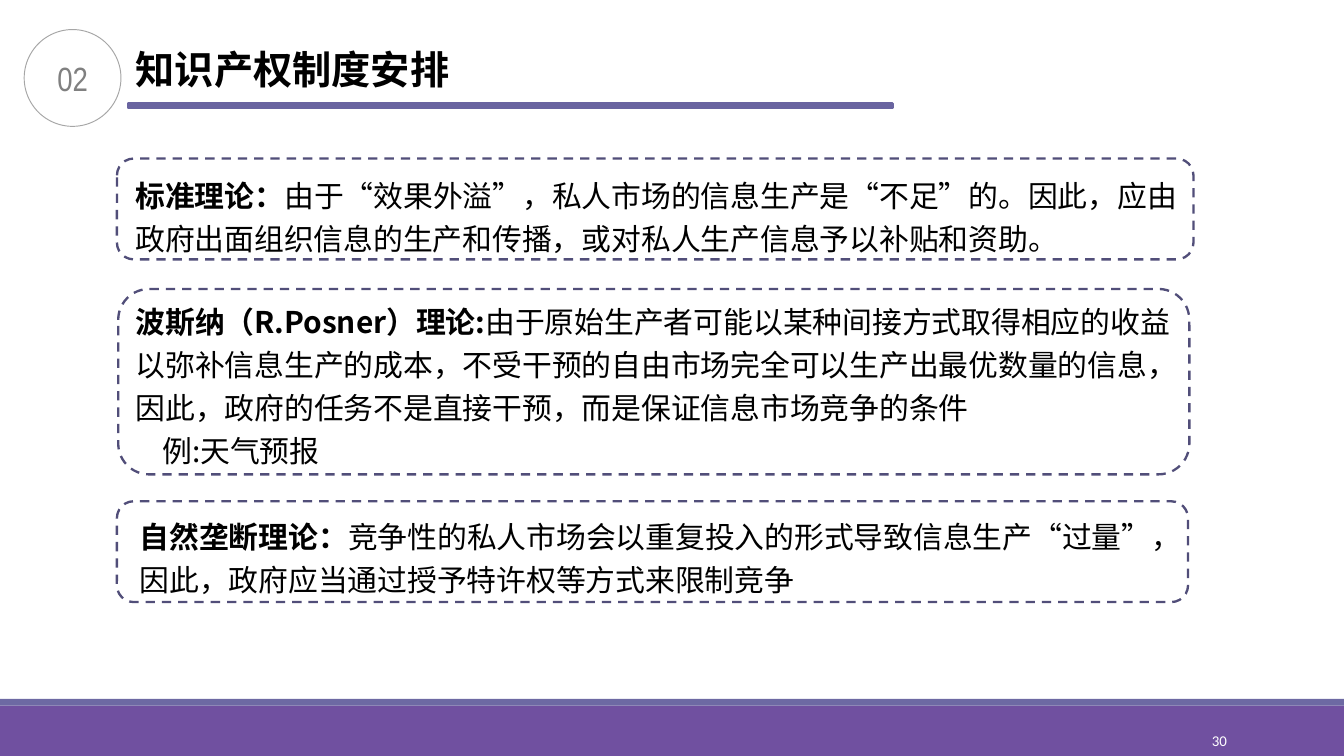
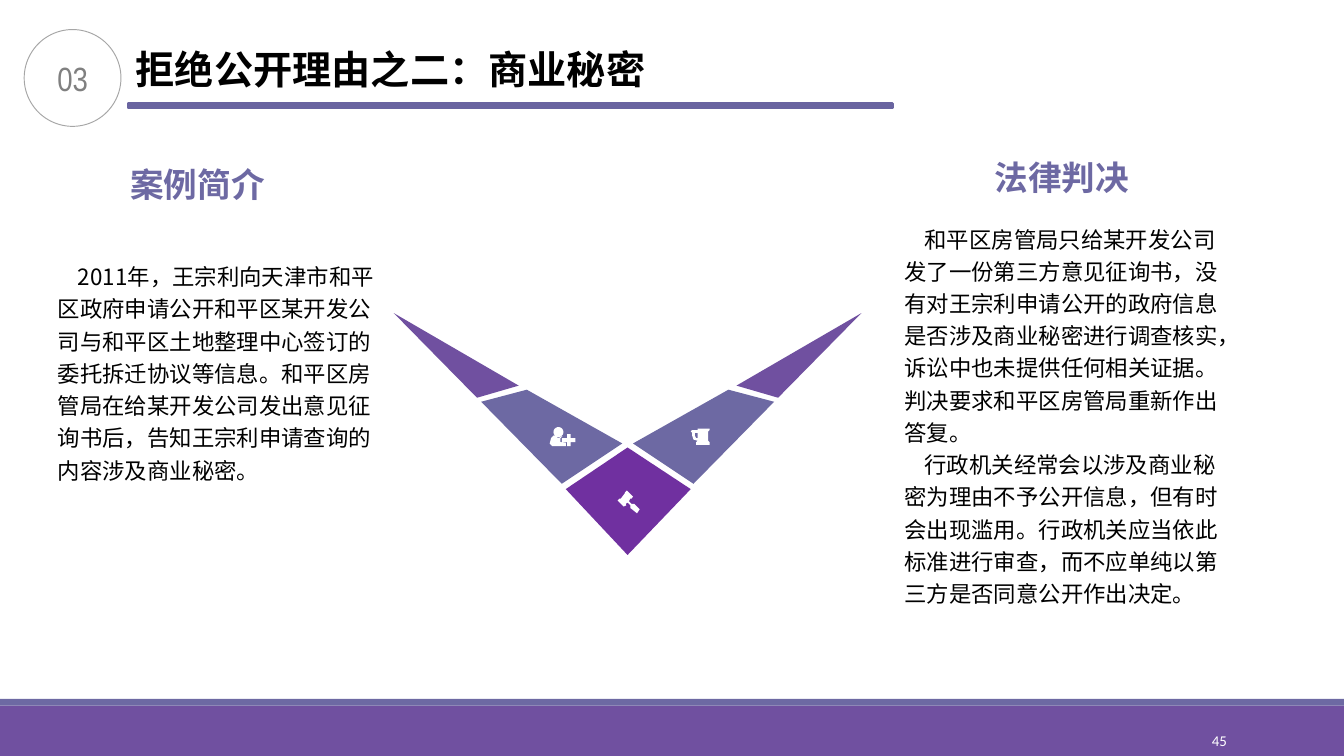
import math

from lxml import etree
from pptx import Presentation, util as u
from pptx.dml.color import RGBColor
from pptx.enum import dml, shapes, text
from pptx.oxml import ns

COLORS = {
    "band": "7050A0", "stripe": "6D69A3", "rule": "6964A0", "core": "7030A0",
    "dash": "514E79", "ring": "A6A6A6", "number": "808080",
    "ink": "000000", "white": "FFFFFF",
}
CJK = "Noto Sans CJK SC"
SHAPE = shapes.MSO_SHAPE
ALIGN = text.PP_ALIGN
SMALL_INSET = (0.7, 0.4)
TEXT_INSET = (1, 0.5)

deck = Presentation()
deck.slide_width, deck.slide_height = u.Inches(10), u.Inches(5.625)
CELL = deck.slide_width / 100  # the grid: 100 columns, 56.25 rows


def draw(page, kind, area, fill=None, line=None, width=1.25):
    """Add a preset shape, or a text box when kind is None; area is in cells."""
    place = [round(side * CELL) for side in area]
    if kind is None:
        return page.shapes.add_textbox(*place)
    shape = page.shapes.add_shape(kind, *place)
    shape.shadow.inherit = False
    if fill:
        shape.fill.solid()
        shape.fill.fore_color.rgb = RGBColor.from_string(COLORS[fill])
    else:
        shape.fill.background()
    if line:
        shape.line.color.rgb = RGBColor.from_string(COLORS[line])
        shape.line.width = u.Pt(width)
    else:
        shape.line.fill.background()
    return shape


def write(box, paras, size, color="ink", font=CJK, align=ALIGN.LEFT, inset=(0, 0),
          middle=False, wrap=True, grow=False, spacing=None):
    """Fill a box; each para is (indent in cells, [(words, bold), ...])."""
    frame = box.text_frame
    frame.word_wrap = wrap
    frame.auto_size = text.MSO_AUTO_SIZE.SHAPE_TO_FIT_TEXT if grow else text.MSO_AUTO_SIZE.NONE
    frame.vertical_anchor = text.MSO_ANCHOR.MIDDLE if middle else text.MSO_ANCHOR.TOP
    frame.margin_left = frame.margin_right = round(inset[0] * CELL)
    frame.margin_top = frame.margin_bottom = round(inset[1] * CELL)
    for index, (indent, spans) in enumerate(paras):
        para = frame.add_paragraph() if index else frame.paragraphs[0]
        para.alignment = align
        if spacing:
            para.line_spacing = spacing
        if indent:
            para._p.get_or_add_pPr().set("indent", str(round(indent * CELL)))
        for words, bold in spans:
            span = para.add_run()
            span.text = words
            span.font.size = u.Pt(size)
            span.font.bold = bold
            span.font.name = font
            span.font.color.rgb = RGBColor.from_string(COLORS[color])
            etree.SubElement(span._r.get_or_add_rPr(), ns.qn("a:ea")).set("typeface", CJK)


# Frame of both slides: bands, page number, rule, section circle, title
pages = []
for section, title, title_width, number in [
    ("02", "知识产权制度安排", 25.2, "30"),
    ("03", "拒绝公开理由之二：商业秘密", 40, "45"),
]:
    page = deck.slides.add_slide(deck.slide_layouts[6])
    pages.append(page)
    draw(page, SHAPE.RECTANGLE, (0, 52.5, 100, 3.75), "band")
    draw(page, SHAPE.RECTANGLE, (0, 52, 100, 0.5), "stripe")
    write(draw(page, None, (81.2, 53.6, 10.8, 3)), [(0, [(number, False)])], 8,
          "white", "Calibri", ALIGN.RIGHT, SMALL_INSET, middle=True)
    draw(page, SHAPE.RECTANGLE, (9.5, 7.7, 56.9, 0.35), "rule", "rule")
    circle = draw(page, SHAPE.OVAL, (1.8, 2.2, 7.2, 7.2), line="ring", width=0.5)
    write(circle, [(0, [(section, False)])], 18, "number", "Arial Narrow",
          ALIGN.CENTER, SMALL_INSET, middle=True)
    write(draw(page, None, (9.4, 3, title_width, 4.3)), [(0, [(title, True)])], 21,
          inset=SMALL_INSET, wrap=False, grow=True)

theory_page, case_page = pages

# Three theories in dashed frames
theories = [
    ((8.7, 11.8, 80.1, 7.5), (9.1, 12.2, 80, 10.3), [
        (0, [("标准理论：", True),
             ("由于“效果外溢”，私人市场的信息生产是“不足”的。因此，应由政府出面组织信息的"
              "生产和传播，或对私人生产信息予以补贴和资助。", False)])]),
    ((8.8, 21.5, 79.7, 13.8), (9.1, 21.6, 79.5, 16.8), [
        (0, [("波斯纳（R.Posner）理论:", True),
             ("由于原始生产者可能以某种间接方式取得相应的收益以弥补信息生产的成本，不受干预的"
              "自由市场完全可以生产出最优数量的信息，因此，政府的任务不是直接干预，而是保证信息"
              "市场竞争的条件", False)]),
        (2, [("例:天气预报", False)])]),
    ((8.7, 37.3, 79.7, 7.5), (9.4, 37.6, 79.6, 7), [
        (0, [("自然垄断理论：", True),
             ("竞争性的私人市场会以重复投入的形式导致信息生产“过量”，因此，政府应当通过授予"
              "特许权等方式来限制竞争", False)])]),
]
for frame_area, text_area, paras in theories:
    outline = draw(theory_page, SHAPE.ROUNDED_RECTANGLE, frame_area, line="dash")
    outline.line.dash_style = dml.MSO_LINE.DASH
    write(draw(theory_page, None, text_area), paras, 16,
          inset=TEXT_INSET, grow=True, spacing=1.2)

# V-shaped diagram: the right arm mirrors the left one
AXIS = 46.7
left_tip = [(35.5, 29.6), (38.6, 28.7), (29.3, 23.3)]
left_wing = [(39.2, 29), (35.8, 29.9), (41.8, 36), (46.3, 33)]
right_tip, right_wing = [[(2 * AXIS - x, y) for x, y in arm] for arm in (left_tip, left_wing)]
core = [(46.7, 33.3), (42.1, 36.4), (46.7, 41.3), (51.4, 36.4)]

head = [(41.55 + 0.37 * math.cos(turn * math.pi / 12),
         32.15 + 0.37 * math.sin(turn * math.pi / 12)) for turn in range(24)]
body = [(40.9, 33), (41, 32.6), (41.2, 32.4), (41.55, 32.6), (41.85, 32.45), (41.7, 32.6),
        (41.7, 32.9), (42.1, 32.95), (42.1, 33.2), (41.1, 33.2)]
plus = [(42.2, 32.3), (42.45, 32.3), (42.45, 32.6), (42.8, 32.6), (42.8, 32.9), (42.45, 32.9),
        (42.45, 33.2), (42.2, 33.2), (42.2, 32.9), (41.8, 32.9), (41.8, 32.6), (42.2, 32.6)]
mug = [(51.5, 32), (51.9, 32), (51.9, 31.9), (52.8, 31.9), (52.8, 32), (52.7, 32.1),
       (52.7, 32.8), (52.8, 32.9), (52.8, 33.1), (51.8, 33.1), (51.8, 32.9), (51.9, 32.8),
       (51.6, 32.7), (51.5, 32.4), (51.5, 32.2), (51.4, 32.1)]
handle = [(51.9, 32.2), (51.7, 32.2), (51.7, 32.4), (51.8, 32.6), (51.9, 32.6)]
gavel = [(47.6, 37.9), (47.4, 38.2), (46.9, 37.8), (46.9, 37.6), (46.7, 37.4), (46.55, 37.5),
         (46.6, 37.6), (46.4, 37.7), (45.95, 37.25), (46.1, 37.1), (46.2, 37.1), (46.5, 36.7),
         (46.5, 36.65), (46.65, 36.5), (47.1, 36.95), (47, 37.1), (46.9, 37.1), (46.8, 37.3),
         (47, 37.5), (47.2, 37.5)]

for fill, contours in [
    ("band", [left_tip]), ("band", [right_tip]),
    ("stripe", [left_wing]), ("white", [head, body, plus]),
    ("stripe", [right_wing]), ("white", [mug, handle]),
    ("core", [core]), ("white", [gavel]),
]:
    scaled = [[(x * 1000, y * 1000) for x, y in contour] for contour in contours]
    builder = case_page.shapes.build_freeform(*scaled[0][0], scale=CELL / 1000)
    for index, contour in enumerate(scaled):
        if index:
            builder.move_to(*contour[0])
        builder.add_line_segments(contour[1:], close=True)
    piece = builder.convert_to_shape()
    piece.shadow.inherit = False
    piece.fill.solid()
    piece.fill.fore_color.rgb = RGBColor.from_string(COLORS[fill])
    piece.line.fill.background()

# Case summary on the left, judgment on the right
columns = [
    ("法律判决", (62.6, 11.7, 21.4, 5.1), ALIGN.RIGHT, (67.3, 16.4, 23.6, 26.6), [
        "和平区房管局只给某开发公司发了一份第三方意见征询书，没有对王宗利申请公开的政府信息"
        "是否涉及商业秘密进行调查核实，诉讼中也未提供任何相关证据。判决要求和平区房管局重新"
        "作出答复。",
        "行政机关经常会以涉及商业秘密为理由不予公开信息，但有时会出现滥用。行政机关应当依此"
        "标准进行审查，而不应单纯以第三方是否同意公开作出决定。"]),
    ("案例简介", (9.7, 12.2, 21.4, 4.4), ALIGN.LEFT, (4.3, 19.2, 24.2, 28.2), [
        "2011年，王宗利向天津市和平区政府申请公开和平区某开发公司与和平区土地整理中心签订的"
        "委托拆迁协议等信息。和平区房管局在给某开发公司发出意见征询书后，告知王宗利申请查询的"
        "内容涉及商业秘密。"]),
]
for heading, heading_area, align, body_area, passages in columns:
    write(draw(case_page, None, body_area),
          [(1.5, [(passage, False)]) for passage in passages], 12, spacing=1.2)
    write(draw(case_page, None, heading_area), [(0, [(heading, True)])], 18,
          "stripe", "Calibri", align, wrap=False)

deck.save("out.pptx")
